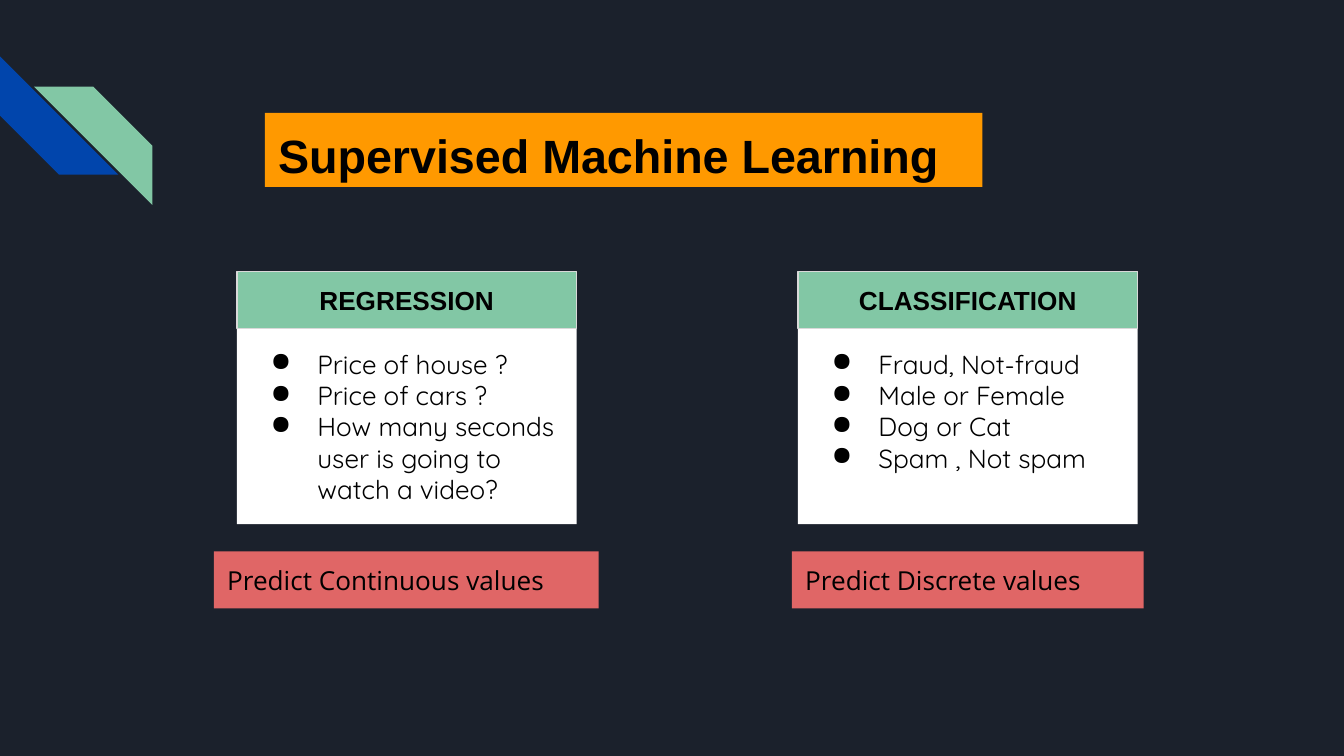
import pptx
import pptx.util
import pptx.dml.color
import pptx.enum.shapes
import pptx.enum.text
import pptx.oxml.ns
import lxml.etree

Pt = pptx.util.Pt
Kind = pptx.enum.shapes.MSO_SHAPE
Align = pptx.enum.text.PP_ALIGN
Anchor = pptx.enum.text.MSO_ANCHOR
rgb = pptx.dml.color.RGBColor.from_string

theme = {
    "back": "1B212C", "blue": "0145AC", "green": "82C7A5", "gold": "FF9900",
    "white": "FFFFFF", "red": "E06666", "edge": "D9D9D9", "ink": "000000",
    "big": 25, "base": 14,
    "head": "Arial", "list": "Quicksand", "note": "Open Sans",
}

deck = pptx.Presentation()
deck.slide_width, deck.slide_height = Pt(720), Pt(405)
slide = deck.slides.add_slide(deck.slide_layouts[6])
slide.background.fill.solid()
slide.background.fill.fore_color.rgb = rgb(theme["back"])


def add_box(left, top, width, height, fill, kind=Kind.RECTANGLE):
    """Add a flat filled shape with even text insets."""
    box = slide.shapes.add_shape(kind, Pt(left), Pt(top), Pt(width), Pt(height))
    box.shadow.inherit = False
    box.fill.solid()
    box.fill.fore_color.rgb = rgb(theme[fill])
    box.line.fill.background()
    frame = box.text_frame
    frame.word_wrap = True
    frame.vertical_anchor = Anchor.TOP
    frame.margin_left = frame.margin_right = Pt(7.2)
    frame.margin_top = frame.margin_bottom = Pt(7.2)
    return box


def add_text(para, text, font, size="base", bold=False, align=Align.LEFT):
    """Add one styled run to a paragraph."""
    para.alignment = align
    run = para.add_run()
    run.text = text
    run.font.name = theme[font]
    run.font.size = Pt(theme[size])
    run.font.bold = bold
    run.font.color.rgb = rgb(theme["ink"])


# Corner stripes
for left, top, fill, turn in [(0, 30.2, "blue", 270), (18.2, 46.4, "green", 90)]:
    stripe = add_box(left, top, 63.4, 63.4, fill, Kind.DIAGONAL_STRIPE)
    stripe.adjustments[0] = 0.5
    stripe.rotation = turn

# Title
title = add_box(141.9, 60.5, 384.5, 39.6, "gold")
add_text(title.text_frame.paragraphs[0], "Supervised Machine Learning",
         "head", "big", True)

# Cards: left edge, heading, items, then note with its left edge and width
cards = [
    (126.9, "REGRESSION",
     ["Price of house ?", "Price of cars ?",
      "How many seconds user is going to watch a video?"],
     "Predict Continuous values", 114.6, 206.2),
    (427.5, "CLASSIFICATION",
     ["Fraud, Not-fraud", "Male or Female", "Dog or Cat", "Spam , Not spam"],
     "Predict Discrete values", 424.3, 188.4),
]
card_top, card_wide, card_high, bar_high = 145.4, 182, 135.4, 30.7

for left, head, items, note, note_left, note_wide in cards:
    body = add_box(left, card_top, card_wide, card_high, "white")
    frame = body.text_frame
    frame.margin_top = Pt(bar_high + 10.3)
    for i, item in enumerate(items):
        para = frame.add_paragraph() if i else frame.paragraphs[0]
        add_text(para, item, "list")
        props = para._p.get_or_add_pPr()
        props.set("marL", str(Pt(36)))
        props.set("indent", str(-Pt(25)))
        tint = lxml.etree.SubElement(props, pptx.oxml.ns.qn("a:buClr"))
        lxml.etree.SubElement(tint, pptx.oxml.ns.qn("a:srgbClr"), val=theme["ink"])
        lxml.etree.SubElement(props, pptx.oxml.ns.qn("a:buChar"), char="●")

    bar = add_box(left, card_top, card_wide, bar_high, "green")
    bar.line.color.rgb = rgb(theme["edge"])
    bar.line.width = Pt(0.75)
    bar.text_frame.vertical_anchor = Anchor.MIDDLE
    add_text(bar.text_frame.paragraphs[0], head, "head",
             bold=True, align=Align.CENTER)

    tag = add_box(note_left, 295.4, note_wide, 30.6, "red")
    add_text(tag.text_frame.paragraphs[0], note, "note")

deck.save("out.pptx")
